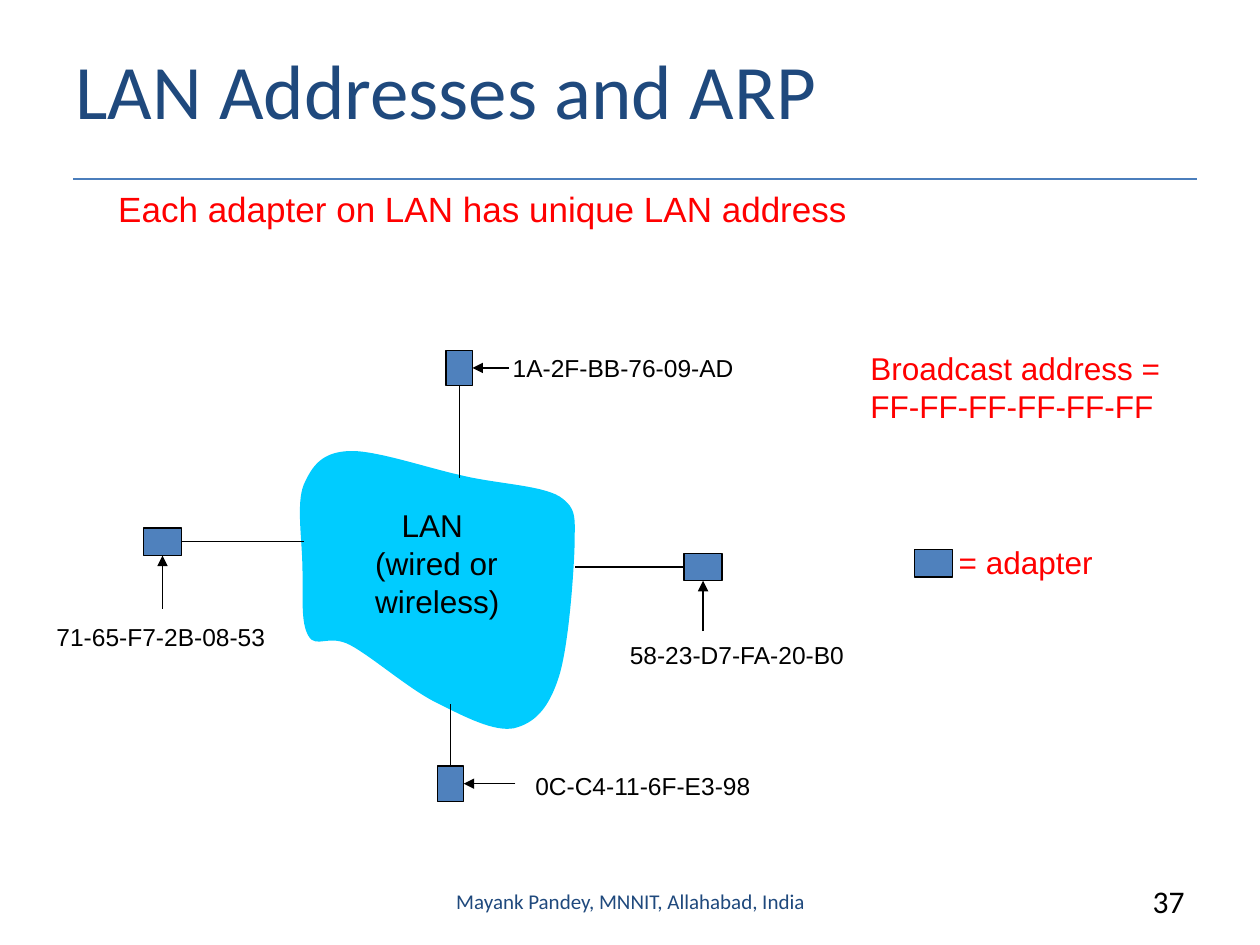
from lxml import etree
from pptx import Presentation
from pptx import util as u
from pptx.dml.color import RGBColor
from pptx.enum import shapes, text
from pptx.oxml.ns import qn

PX = 9144  # EMU per px, at 100 px to the inch

NAVY = RGBColor(0x1F, 0x49, 0x7D)
RULE = RGBColor(0x4B, 0x7E, 0xBC)
BLUE = RGBColor(0x4F, 0x81, 0xBD)
CYAN = RGBColor(0x00, 0xCC, 0xFF)
RED = RGBColor(0xFF, 0x00, 0x00)
BLACK = RGBColor(0x00, 0x00, 0x00)

TOP, LEFT, BOTTOM, RIGHT = range(4)
STEP = {TOP: (0, -1), LEFT: (-1, 0), BOTTOM: (0, 1), RIGHT: (1, 0)}

# Adapter box, side and length of its link, side and length of its arrow
ADAPTERS = [
    ((543, 439, 30, 22), (LEFT, 87), (BOTTOM, 40)),
    ((114, 419, 30, 22), (RIGHT, 97), (BOTTOM, 42)),
    ((354, 278, 21, 28), (BOTTOM, 73), (RIGHT, 29)),
    ((347, 608, 21, 28), (TOP, 49), (RIGHT, 41)),
]
ADDRESSES = [
    ("1A-2F-BB-76-09-AD", (397, 275, 208, 33)),
    ("58-23-D7-FA-20-B0", (490, 503, 208, 33)),
    ("0C-C4-11-6F-E3-98", (415, 607, 196, 33)),
    ("71-65-F7-2B-08-53", (35, 489, 200, 33)),
]
# Cloud outline: start point, then two controls and an end for each curve
CLOUD_START = (277, 358)
CLOUD_CURVES = [
    (256, 359), (248, 369), (241, 385),
    (235, 400), (240, 430), (240, 450),
    (241, 470), (238, 494), (245, 505),
    (251, 515), (261, 503), (278, 512),
    (295, 521), (326, 548), (347, 558),
    (369, 569), (392, 581), (408, 578),
    (424, 574), (435, 563), (443, 539),
    (451, 516), (455, 460), (456, 436),
    (456, 412), (459, 404), (444, 394),
    (429, 385), (393, 384), (365, 377),
    (338, 371), (297, 357), (277, 358),
]


def emu(*lengths):
    return [u.Emu(round(n * PX)) for n in lengths]


def add_text(s, lines, box, size, color, name="Arial",
             align=text.PP_ALIGN.LEFT, anchor=text.MSO_ANCHOR.TOP):
    tf = s.shapes.add_textbox(*emu(*box)).text_frame
    tf.word_wrap = True
    tf.vertical_anchor = anchor
    for i, line in enumerate(lines):
        p = tf.paragraphs[0] if i == 0 else tf.add_paragraph()
        p.alignment = align
        r = p.add_run()
        r.text = line
        r.font.color.rgb = color
        for key, value in {"size": u.Pt(size), "name": name}.items():
            setattr(r.font, key, value)
    return tf


def add_line(s, start, end, color=BLACK, arrow=False):
    c = s.shapes.add_connector(shapes.MSO_CONNECTOR.STRAIGHT, *emu(*start, *end))
    c.line.color.rgb = color
    c.line.width = u.Pt(0.75)
    if arrow:
        etree.SubElement(c.line._get_or_add_ln(), qn("a:tailEnd"), type="triangle")
    etree.SubElement(c._element.spPr, qn("a:effectLst"))
    return c


def add_adapter(s, box):
    sp = s.shapes.add_shape(shapes.MSO_SHAPE.RECTANGLE, *emu(*box))
    sp.shadow.inherit = False
    sp.fill.solid()
    sp.fill.fore_color.rgb = BLUE
    sp.line.color.rgb = BLACK
    sp.line.width = u.Pt(0.75)
    return sp


def add_curved_outline(s, start, points, color):
    fb = s.shapes.build_freeform(*start, scale=PX)
    fb.add_line_segments(points, close=True)
    sp = fb.convert_to_shape()
    # Each run of three line segments becomes one Bezier curve
    segments = list(sp._element.iter(qn("a:lnTo")))
    for i in range(0, len(segments) - 2, 3):
        first, *others = segments[i:i + 3]
        curve = etree.Element(qn("a:cubicBezTo"))
        first.addprevious(curve)
        for segment in (first, *others):
            curve.append(segment[0])
            segment.getparent().remove(segment)
    sp.shadow.inherit = False
    sp.fill.solid()
    sp.fill.fore_color.rgb = color
    sp.line.fill.background()


def side_points(box, side, length):
    """Middle of a side, and the point straight out from it."""
    x, y, w, h = box
    dx, dy = STEP[side]
    mid = (x + w / 2 * (1 + dx), y + h / 2 * (1 + dy))
    return mid, (mid[0] + dx * length, mid[1] + dy * length)


def header(s, x, y, w):
    add_line(s, (x + 8, y + 134), (x + w, y + 134), RULE)
    add_text(s, ["LAN Addresses and ARP"], (x, y, w, 125), 44, NAVY, "Calibri",
             anchor=text.MSO_ANCHOR.MIDDLE)
    add_text(s, ["Each adapter on LAN has unique LAN address"],
             (x + 34, y + 136, 614, 43), 20, RED)


def legend(s, x, y):
    add_text(s, ["Broadcast address =", "FF-FF-FF-FF-FF-FF"],
             (x, y, 258, 70), 18, RED)
    add_adapter(s, (x + 45, y + 164, 30, 22))
    add_text(s, ["= adapter"], (x + 70, y + 154, 132, 40), 18, RED)


def network(s, x, y):
    def place(box):
        return (x + box[0], y + box[1], *box[2:])

    # Cloud
    add_curved_outline(s, place(CLOUD_START),
                       [place(pt) for pt in CLOUD_CURVES], CYAN)

    # Adapters with their links and arrows
    for box, (link_side, link), (arrow_side, reach) in ADAPTERS:
        box = place(box)
        sp = add_adapter(s, box)
        mid, far = side_points(box, link_side, link)
        add_line(s, mid, far).begin_connect(sp, link_side)
        mid, far = side_points(box, arrow_side, reach)
        add_line(s, far, mid, arrow=True).end_connect(sp, arrow_side)

    # Labels
    for address, box in ADDRESSES:
        add_text(s, [address], place(box), 14, BLACK)
    tf = add_text(s, ["LAN", "(wired or", "wireless)"],
                  place((288, 397, 127, 100)), 18, BLACK)
    tf.paragraphs[0]._p.get_or_add_pPr().set("marL", str(21 * PX))


def footer(s, x, y):
    add_text(s, ["Mayank Pandey, MNNIT, Allahabad, India"], (x, y, 317, 40), 12,
             NAVY, "Calibri", text.PP_ALIGN.CENTER, text.MSO_ANCHOR.MIDDLE)
    add_text(s, ["37"], (x + 533, y, 75, 40), 18, BLACK, "Calibri",
             text.PP_ALIGN.RIGHT)


def main():
    prs = Presentation()
    prs.slide_width, prs.slide_height = emu(1000, 750)
    s = prs.slides.add_slide(prs.slide_layouts[6])
    header(s, 50, 8, 900)
    legend(s, 681, 272)
    network(s, 0, 0)
    footer(s, 342, 695)
    prs.save("out.pptx")


if __name__ == "__main__":
    main()
